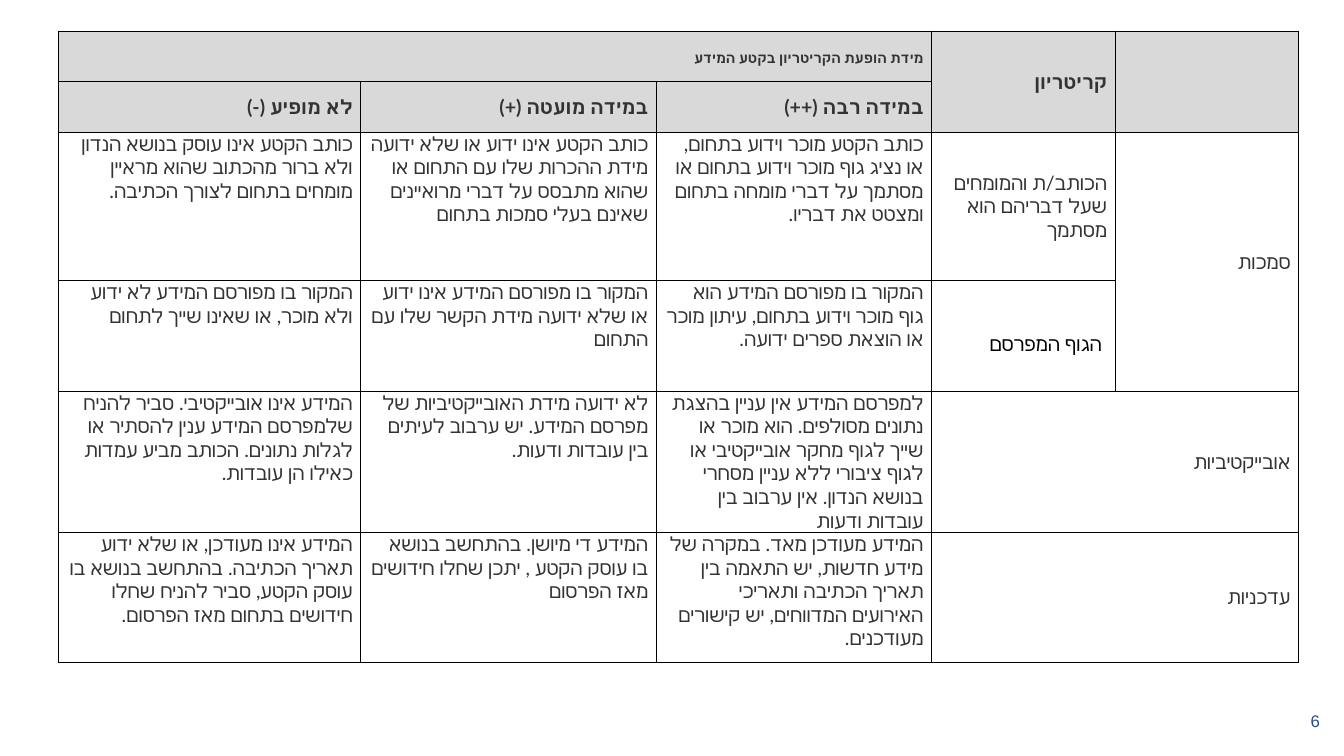
"""Build a slide with a Hebrew rubric for judging information sources."""
from dataclasses import dataclass

from lxml import etree
from pptx import Presentation
from pptx.dml.color import RGBColor
from pptx.enum.text import MSO_ANCHOR, PP_ALIGN
from pptx.oxml.ns import qn
from pptx.slide import Slide
from pptx.table import Table, _Cell
from pptx.text.text import _Paragraph
from pptx.util import Inches, Pt

MIDDLE, TOP = MSO_ANCHOR.MIDDLE, MSO_ANCHOR.TOP
RIGHT = PP_ALIGN.RIGHT
COLORS = {"text": "333333", "black": "000000", "header": "D9D9D9", "number": "1D4F9D"}
COLUMN_WIDTHS = [3, 2.93, 2.73, 1.82, 1.82]
ROW_HEIGHTS = [0.5, 0.5, 1.47, 1.1, 1.29, 1.29]
HEADER_ROWS = 2
LEVEL_COLUMNS = 3
BORDER_WIDTH = Pt(0.75)


@dataclass(frozen=True)
class RubricCell:
    """Text and layout of one rubric cell."""

    row: int
    column: int
    text: str = ""
    row_span: int = 1
    column_span: int = 1
    size: int = 14
    color: str = "text"
    line_spacing: float | None = None
    top_inset: float = 0
    right_inset: float = 0.08


LEVEL_TEXTS = [
    ["לא מופיע (-)", "במידה מועטה (+)", "במידה רבה (++)"],
    [
        "כותב הקטע אינו עוסק בנושא הנדון ולא ברור מהכתוב שהוא מראיין מומחים בתחום לצורך הכתיבה.",
        "כותב הקטע אינו ידוע או שלא ידועה מידת ההכרות שלו עם התחום או שהוא מתבסס על דברי "
        "מרואיינים שאינם בעלי סמכות בתחום",
        "כותב הקטע מוכר וידוע בתחום, או נציג גוף מוכר וידוע בתחום או מסתמך על דברי מומחה "
        "בתחום ומצטט את דבריו.",
    ],
    [
        "המקור בו מפורסם המידע לא ידוע ולא מוכר, או שאינו שייך לתחום",
        "המקור בו מפורסם המידע אינו ידוע או שלא ידועה מידת הקשר שלו עם התחום",
        "המקור בו מפורסם המידע הוא גוף מוכר וידוע בתחום, עיתון מוכר או הוצאת ספרים ידועה.",
    ],
    [
        "המידע אינו אובייקטיבי. סביר להניח שלמפרסם המידע ענין להסתיר או לגלות נתונים. "
        "הכותב מביע עמדות כאילו הן עובדות.",
        "לא ידועה מידת האובייקטיביות של מפרסם המידע. יש ערבוב לעיתים בין עובדות ודעות.",
        "למפרסם המידע אין עניין בהצגת נתונים מסולפים. הוא מוכר או שייך לגוף מחקר אובייקטיבי "
        "או לגוף ציבורי ללא עניין מסחרי בנושא הנדון. אין ערבוב בין עובדות ודעות",
    ],
    [
        "המידע אינו מעודכן, או שלא ידוע תאריך הכתיבה. בהתחשב בנושא בו עוסק הקטע, "
        "סביר להניח שחלו חידושים בתחום מאז הפרסום.",
        "המידע די מיושן. בהתחשב בנושא בו עוסק הקטע , יתכן שחלו חידושים מאז הפרסום",
        "המידע מעודכן מאד. במקרה של מידע חדשות, יש התאמה בין תאריך הכתיבה ותאריכי "
        "האירועים המדווחים, יש קישורים מעודכנים.",
    ],
]
LABEL_CELLS = [
    RubricCell(0, 0, "מידת הופעת הקריטריון בקטע המידע", column_span=3, size=10, line_spacing=1.15),
    RubricCell(0, 3, "קריטריון", row_span=2),
    RubricCell(0, 4, row_span=2),
    RubricCell(2, 3, "הכותב/ת והמומחים שעל דבריהם הוא מסתמך"),
    RubricCell(2, 4, "סמכות", row_span=2),
    RubricCell(3, 3, "הגוף המפרסם", color="black", top_inset=0.16, right_inset=0.13),
    RubricCell(4, 3, "אובייקטיביות", column_span=2),
    RubricCell(5, 3, "עדכניות", column_span=2),
]
LEVEL_CELLS = [
    RubricCell(row, column, text)
    for row, texts in enumerate(LEVEL_TEXTS, start=1)
    for column, text in enumerate(texts)
]


def add_run(paragraph: _Paragraph, text: str, font_name: str, size: int, color: str,
            bold: bool = False) -> None:
    """Add a right-aligned run, with its font set for Hebrew letters too."""
    paragraph.alignment = RIGHT
    run = paragraph.add_run()
    run.text = text
    run.font.size = Pt(size)
    run.font.bold = bold
    run.font.color.rgb = RGBColor.from_string(COLORS[color])
    run.font.name = font_name
    complex_font = etree.SubElement(run.font._element, qn("a:cs"))
    complex_font.set("typeface", font_name)


def style_cell(cell: _Cell, is_header: bool) -> None:
    """Give a cell thin black borders and its background."""
    properties = cell._tc.get_or_add_tcPr()
    for side in ("lnL", "lnR", "lnT", "lnB"):
        line = etree.SubElement(properties, qn(f"a:{side}"), w=str(BORDER_WIDTH))
        line_fill = etree.SubElement(line, qn("a:solidFill"))
        etree.SubElement(line_fill, qn("a:srgbClr"), val=COLORS["black"])
    if is_header:
        cell.fill.solid()
        cell.fill.fore_color.rgb = RGBColor.from_string(COLORS["header"])
    else:
        cell.fill.background()


def fill_cell(table: Table, content: RubricCell) -> None:
    """Merge, lay out and write one rubric cell."""
    cell = table.cell(content.row, content.column)
    if content.row_span > 1 or content.column_span > 1:
        cell.merge(table.cell(content.row + content.row_span - 1,
                              content.column + content.column_span - 1))
    is_header = content.row < HEADER_ROWS
    is_description = not is_header and content.column < LEVEL_COLUMNS
    cell.vertical_anchor = TOP if is_description else MIDDLE
    cell.margin_left, cell.margin_right = Inches(0.08), Inches(content.right_inset)
    cell.margin_top, cell.margin_bottom = Inches(content.top_inset), Inches(0)
    if content.text:
        paragraph = cell.text_frame.paragraphs[0]
        paragraph._p.get_or_add_pPr().set("rtl", "1")
        if content.line_spacing:
            paragraph.line_spacing = content.line_spacing
        add_run(paragraph, content.text, "Lato", content.size, content.color, is_header)


def add_rubric(slide: Slide) -> None:
    """Add the rubric table."""
    table = slide.shapes.add_table(
        len(ROW_HEIGHTS), len(COLUMN_WIDTHS), Inches(0.58), Inches(0.31),
        Inches(sum(COLUMN_WIDTHS)), Inches(sum(ROW_HEIGHTS))).table
    table.first_row = table.horz_banding = False
    for column, width in zip(table.columns, COLUMN_WIDTHS):
        column.width = Inches(width)
    for index, (row, height) in enumerate(zip(table.rows, ROW_HEIGHTS)):
        row.height = Inches(height)
        for cell in row.cells:
            style_cell(cell, index < HEADER_ROWS)
    for content in LABEL_CELLS + LEVEL_CELLS:
        fill_cell(table, content)


def add_slide_number(slide: Slide) -> None:
    """Add the slide number at the bottom right."""
    shape = slide.shapes.add_textbox(Inches(10.19), Inches(6.95), Inches(3), Inches(0.4))
    shape.text_frame.word_wrap = True
    shape.text_frame.vertical_anchor = MIDDLE
    add_run(shape.text_frame.paragraphs[0], "6", "Arial", 12, "number")


def main() -> None:
    """Build and save the presentation."""
    presentation = Presentation()
    presentation.slide_width, presentation.slide_height = Inches(13.33), Inches(7.5)
    slide = presentation.slides.add_slide(presentation.slide_layouts[6])
    add_slide_number(slide)
    add_rubric(slide)
    presentation.save("out.pptx")


if __name__ == "__main__":
    main()
